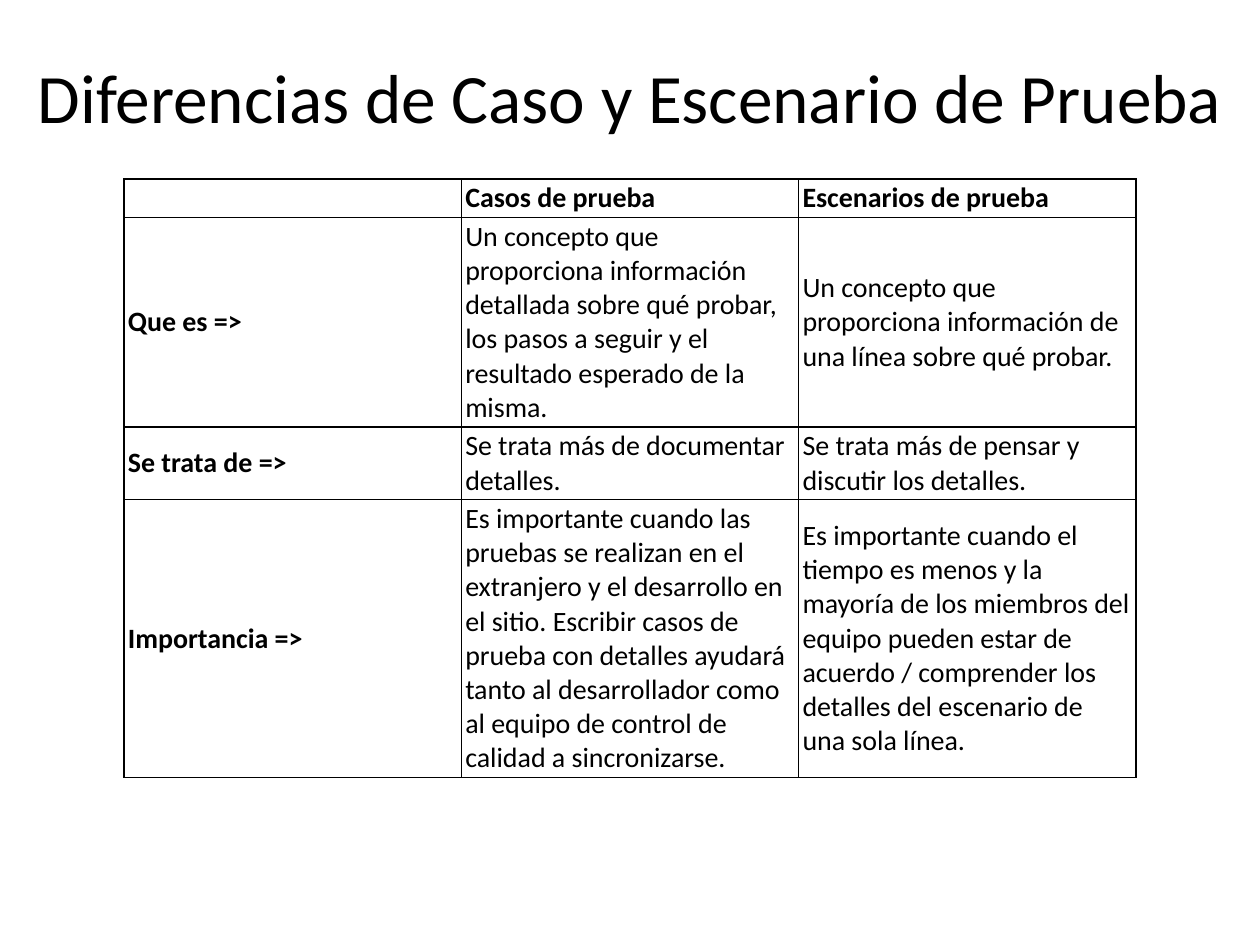
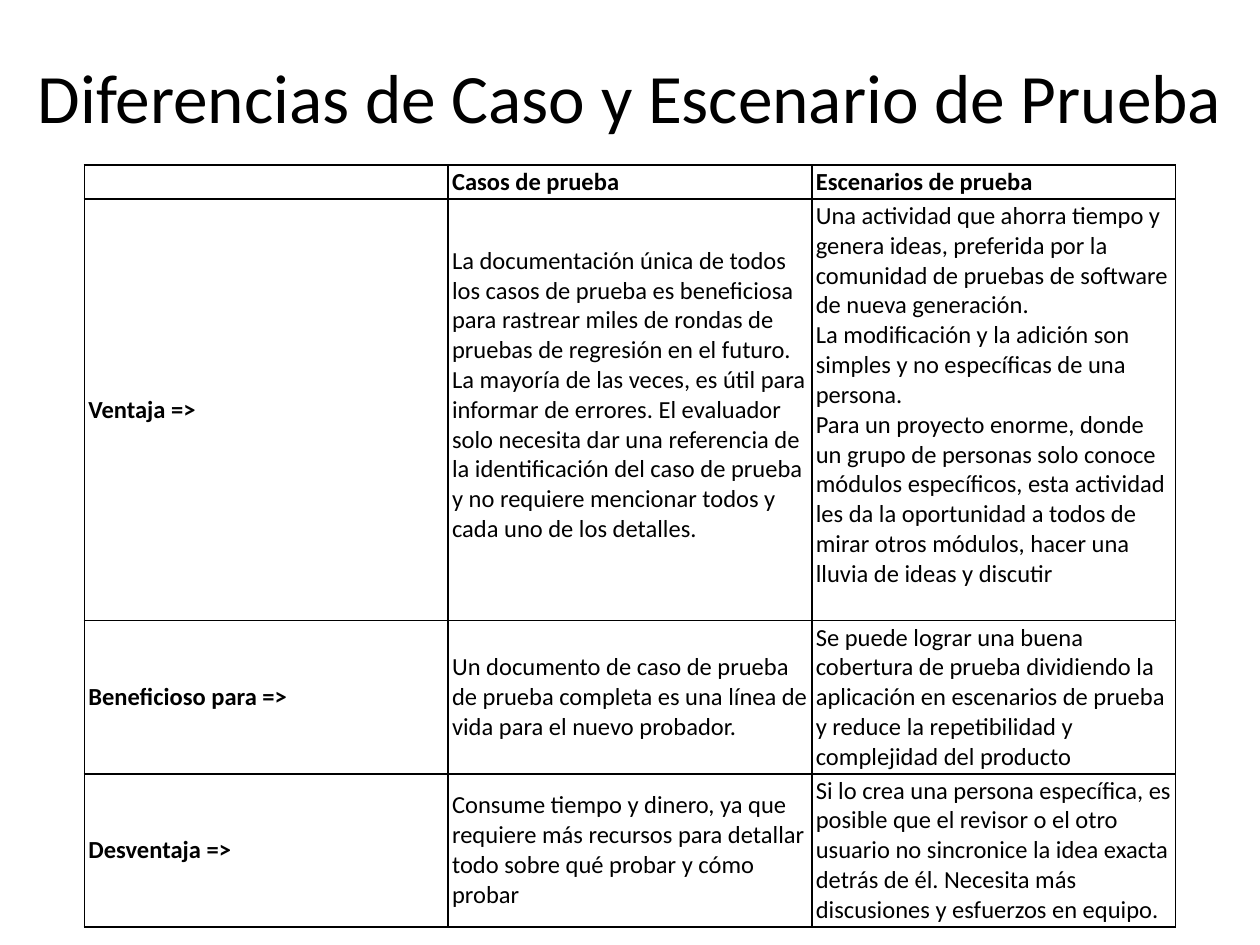
"""Build two slides that compare test cases with test scenarios."""
from lxml import etree
from pptx import Presentation
from pptx.dml.color import RGBColor
from pptx.enum.text import MSO_ANCHOR, MSO_AUTO_SIZE, PP_ALIGN
from pptx.oxml.ns import qn
from pptx.util import Cm, Pt

BLACK = RGBColor(0, 0, 0)
WHITE = RGBColor(255, 255, 255)
FONT = "Calibri"
TITLE = "Diferencias de Caso y Escenario de Prueba"
HEADER = ["", "Casos de prueba", "Escenarios de prueba"]
SLIDE_WIDTH = 25.4
SLIDE_HEIGHT = 19.05
SIDE_MARGIN = 0.08
EDGE_MARGIN = 0.04

CONCEPT_ROWS = [
    HEADER,
    ["Que es =>",
     "Un concepto que proporciona información detallada sobre qué probar, "
     "los pasos a seguir y el resultado esperado de la misma.",
     "Un concepto que proporciona información de una línea sobre qué probar."],
    ["Se trata de =>",
     "Se trata más de documentar detalles.",
     "Se trata más de pensar y discutir los detalles."],
    ["Importancia =>",
     "Es importante cuando las pruebas se realizan en el extranjero y el "
     "desarrollo en el sitio. Escribir casos de prueba con detalles ayudará "
     "tanto al desarrollador como al equipo de control de calidad a "
     "sincronizarse.",
     "Es importante cuando el tiempo es menos y la mayoría de los miembros del "
     "equipo pueden estar de acuerdo / comprender los detalles del escenario "
     "de una sola línea."],
]

BENEFIT_ROWS = [
    HEADER,
    ["Ventaja =>",
     "La documentación única de todos los casos de prueba es beneficiosa para "
     "rastrear miles de rondas de pruebas de regresión en el futuro.\n"
     "La mayoría de las veces, es útil para informar de errores. El evaluador "
     "solo necesita dar una referencia de la identificación del caso de prueba "
     "y no requiere mencionar todos y cada uno de los detalles.",
     "Una actividad que ahorra tiempo y genera ideas, preferida por la "
     "comunidad de pruebas de software de nueva generación.\n"
     "La modificación y la adición son simples y no específicas de una "
     "persona.\n"
     "Para un proyecto enorme, donde un grupo de personas solo conoce módulos "
     "específicos, esta actividad les da la oportunidad a todos de mirar otros "
     "módulos, hacer una lluvia de ideas y discutir"],
    ["Beneficioso para =>",
     "Un documento de caso de prueba de prueba completa es una línea de vida "
     "para el nuevo probador.",
     "Se puede lograr una buena cobertura de prueba dividiendo la aplicación "
     "en escenarios de prueba y reduce la repetibilidad y complejidad del "
     "producto"],
    ["Desventaja =>",
     "Consume tiempo y dinero, ya que requiere más recursos para detallar todo "
     "sobre qué probar y cómo probar",
     "Si lo crea una persona específica, es posible que el revisor o el otro "
     "usuario no sincronice la idea exacta detrás de él. Necesita más "
     "discusiones y esfuerzos en equipo."],
]


def add_run(paragraph, text, size, bold=False):
    run = paragraph.add_run()
    run.text = text
    run.font.name = FONT
    run.font.size = Pt(size)
    run.font.bold = bold
    run.font.color.rgb = BLACK


def add_titled_slide(presentation):
    slide = presentation.slides.add_slide(presentation.slide_layouts[5])
    title = slide.shapes.title
    title.left, title.top = Cm(0), Cm(0.1)
    title.width, title.height = Cm(SLIDE_WIDTH), Cm(3.68)
    frame = title.text_frame
    frame.word_wrap = True
    frame.auto_size = MSO_AUTO_SIZE.NONE
    frame.vertical_anchor = MSO_ANCHOR.MIDDLE
    paragraph = frame.paragraphs[0]
    paragraph.alignment = PP_ALIGN.CENTER
    add_run(paragraph, TITLE, 39.6)
    return slide


def add_borders(cell):
    properties = cell._tc.get_or_add_tcPr()
    for index, side in enumerate(("a:lnL", "a:lnR", "a:lnT", "a:lnB")):
        line = etree.Element(qn(side), w=str(Pt(1)))
        fill = etree.SubElement(line, qn("a:solidFill"))
        etree.SubElement(fill, qn("a:srgbClr"), val=str(BLACK))
        properties.insert(index, line)


def fill_cell(cell, text, size, bold):
    cell.fill.solid()
    cell.fill.fore_color.rgb = WHITE
    add_borders(cell)
    cell.vertical_anchor = MSO_ANCHOR.MIDDLE
    cell.margin_left = cell.margin_right = Cm(SIDE_MARGIN)
    cell.margin_top = cell.margin_bottom = Cm(EDGE_MARGIN)
    frame = cell.text_frame
    for index, line in enumerate(text.split("\n")):
        paragraph = frame.add_paragraph() if index else frame.paragraphs[0]
        if line:
            add_run(paragraph, line, size, bold)
        else:
            etree.SubElement(paragraph._p, qn("a:endParaRPr"), sz=str(size * 100))


def add_comparison_table(slide, rows, top, width, row_heights, size):
    left = (SLIDE_WIDTH - width) / 2
    frame = slide.shapes.add_table(len(rows), len(HEADER), Cm(left), Cm(top),
                                   Cm(width), Cm(sum(row_heights)))
    table = frame.table
    table.first_row = False
    table.horz_banding = False
    for row, height in zip(table.rows, row_heights):
        row.height = Cm(height)
    for row_index, texts in enumerate(rows):
        for column_index, text in enumerate(texts):
            bold = row_index == 0 or column_index == 0
            fill_cell(table.cell(row_index, column_index), text, size, bold)
    return table


def main():
    presentation = Presentation()
    presentation.slide_width = Cm(SLIDE_WIDTH)
    presentation.slide_height = Cm(SLIDE_HEIGHT)

    concept_slide = add_titled_slide(presentation)
    add_comparison_table(concept_slide, CONCEPT_ROWS, 3.61, 20.4,
                         [0.76, 4.23, 1.46, 5.58], 16)

    benefit_slide = add_titled_slide(presentation)
    benefit_table = add_comparison_table(benefit_slide, BENEFIT_ROWS, 3.33, 22,
                                         [0.67, 8.5, 3.08, 3.08], 14)
    for column_index in (1, 2):
        benefit_table.cell(1, column_index).margin_bottom = Cm(0.64)

    presentation.save("out.pptx")


if __name__ == "__main__":
    main()
